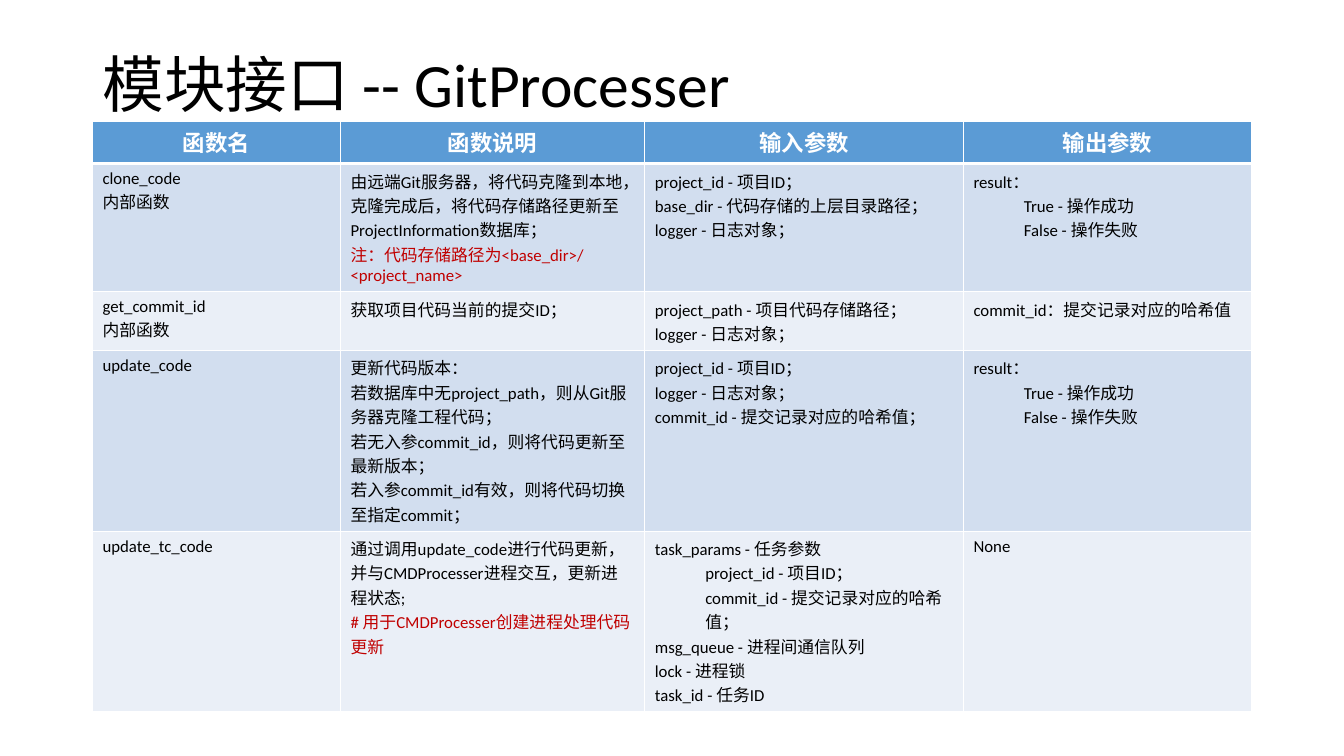
from lxml.etree import SubElement
from pptx import Presentation
from pptx.dml.color import RGBColor
from pptx.enum.lang import MSO_LANGUAGE_ID
from pptx.enum.text import MSO_ANCHOR, MSO_AUTO_SIZE, PP_ALIGN
from pptx.oxml.ns import qn
from pptx.util import Cm, Pt

COLORS = {
    "text": "000000", "note": "C00000", "header_text": "FFFFFF",
    "header": "5B9BD5", "odd": "D2DEEF", "even": "EAEFF7", "border": "FFFFFF",
}
HEADINGS = ["函数名", "函数说明", "输入参数", "输出参数"]
RESULT = ["result：", "> True - 操作成功", "> False - 操作失败"]

# One list of paragraphs per cell: "> " marks an indented one, "! " a red note
FUNCTIONS = [
    [["clone_code", "内部函数"],
     ["由远端Git服务器，将代码克隆到本地，克隆完成后，将代码存储路径更新至ProjectInformation数据库；",
      "! 注：代码存储路径为<base_dir>/<project_name>"],
     ["project_id - 项目ID；", "base_dir - 代码存储的上层目录路径；", "logger - 日志对象；"],
     RESULT],
    [["get_commit_id", "内部函数"],
     ["获取项目代码当前的提交ID；"],
     ["project_path - 项目代码存储路径；", "logger - 日志对象；"],
     ["commit_id：提交记录对应的哈希值"]],
    [["update_code"],
     ["更新代码版本：",
      "若数据库中无project_path，则从Git服务器克隆工程代码；",
      "若无入参commit_id，则将代码更新至最新版本；",
      "若入参commit_id有效，则将代码切换至指定commit；"],
     ["project_id - 项目ID；", "logger - 日志对象；", "commit_id - 提交记录对应的哈希值；"],
     RESULT],
    [["update_tc_code"],
     ["通过调用update_code进行代码更新，并与CMDProcesser进程交互，更新进程状态;",
      "! # 用于CMDProcesser创建进程处理代码更新"],
     ["task_params - 任务参数", "> project_id - 项目ID；",
      "> commit_id - 提交记录对应的哈希值；",
      "msg_queue - 进程间通信队列", "lock - 进程锁", "task_id - 任务ID"],
     ["None"]],
]


def add_span(para, text, size, color, bold=False):
    span = para.add_run()
    span.text = text
    span.font.name = "Calibri"
    span.font.size = Pt(size)
    span.font.bold = bold
    span.font.color.rgb = RGBColor.from_string(COLORS[color])
    span.font.language_id = MSO_LANGUAGE_ID.SIMPLIFIED_CHINESE


def style_cell(cell, fill, bottom_width, top_width):
    properties = cell._tc.get_or_add_tcPr()
    widths = {"a:lnL": 1, "a:lnR": 1, "a:lnT": top_width, "a:lnB": bottom_width}
    for tag, width in widths.items():
        line = SubElement(properties, qn(tag), w=str(Pt(width)))
        solid = SubElement(line, qn("a:solidFill"))
        SubElement(solid, qn("a:srgbClr"), val=COLORS["border"])
    cell.fill.solid()
    cell.fill.fore_color.rgb = RGBColor.from_string(COLORS[fill])


deck = Presentation()
deck.slide_width, deck.slide_height = Cm(33.87), Cm(19.05)
page = deck.slides.add_slide(deck.slide_layouts[5])

# Title
title = page.shapes.title
title.left, title.top, title.width, title.height = Cm(2.33), Cm(0.36), Cm(29.21), Cm(3.68)
title.text_frame.vertical_anchor = MSO_ANCHOR.MIDDLE
title.text_frame.auto_size = MSO_AUTO_SIZE.NONE
para = title.text_frame.paragraphs[0]
para.alignment = PP_ALIGN.LEFT
para.line_spacing = 0.9
add_span(para, "模块接口 -- GitProcesser", 44, "text")

# Table grid; rows grow with their text
rows = len(FUNCTIONS) + 1
table = page.shapes.add_table(rows, len(HEADINGS), Cm(2.33), Cm(3.05),
                              Cm(29.21), Cm(1.07) * rows).table
for column, width in zip(table.columns, [6.25, 7.67, 8.03, 7.26]):
    column.width = Cm(width)

# Header row
for column, heading in enumerate(HEADINGS):
    cell = table.cell(0, column)
    style_cell(cell, "header", 3, 1)
    para = cell.text_frame.paragraphs[0]
    para.alignment = PP_ALIGN.CENTER
    add_span(para, heading, 16, "header_text", bold=True)

# Function rows
for row, function in enumerate(FUNCTIONS, start=1):
    for column, lines in enumerate(function):
        cell = table.cell(row, column)
        style_cell(cell, "odd" if row % 2 else "even", 1, 3 if row == 1 else 1)
        for index, line in enumerate(lines):
            frame = cell.text_frame
            para = frame.add_paragraph() if index else frame.paragraphs[0]
            if line.startswith("> "):
                para.level = 1
                para._p.get_or_add_pPr().set("marL", str(Cm(1.27)))
            color = "note" if line.startswith("! ") else "text"
            add_span(para, line.removeprefix("> ").removeprefix("! "), 12, color)

deck.save("out.pptx")
